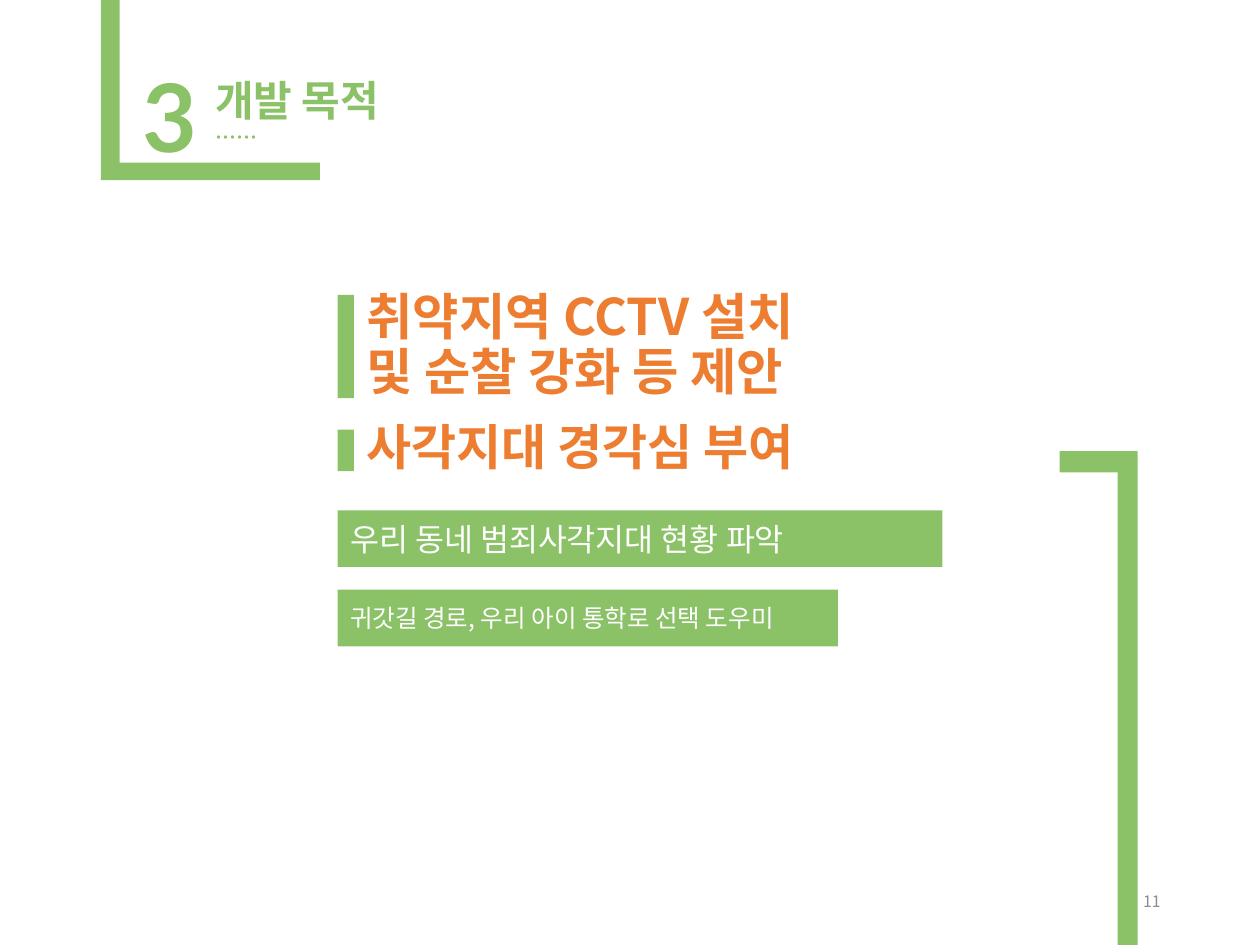
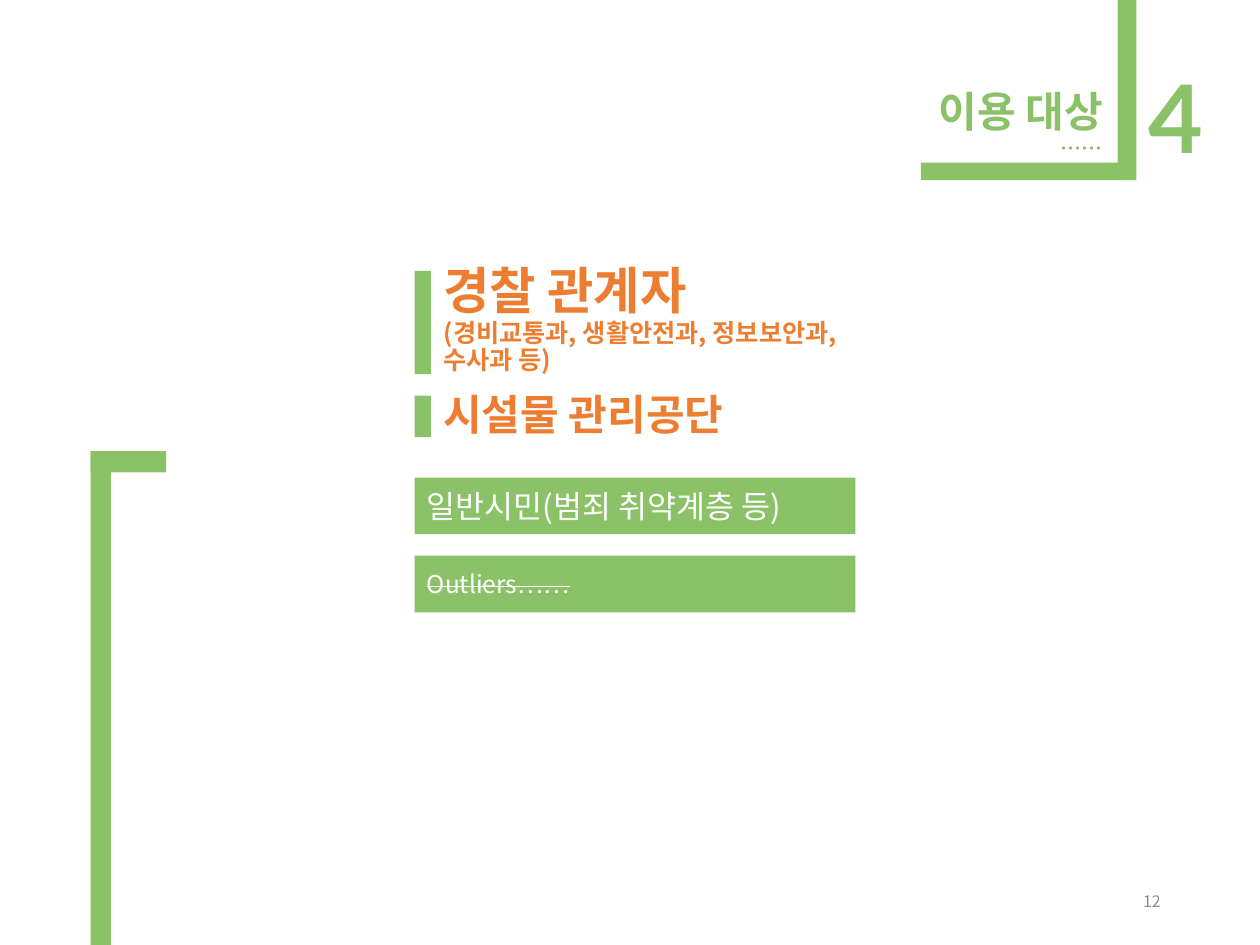
from copy import deepcopy

from lxml import etree
from pptx import Presentation
from pptx.dml.color import RGBColor
from pptx.enum import shapes, text
from pptx.oxml.ns import qn
from pptx.util import Inches, Pt

# Shared look
GREEN, ORANGE, WHITE, GREY = "8BC167", "ED7D31", "FFFFFF", "8C8C8C"
KOREAN, NUMERAL, LABEL = "Noto Sans CJK KR", "Lato", "Arial"
LEFT, CENTER, RIGHT = text.PP_ALIGN.LEFT, text.PP_ALIGN.CENTER, text.PP_ALIGN.RIGHT
TOP, MIDDLE = text.MSO_ANCHOR.TOP, text.MSO_ANCHOR.MIDDLE
MARKER_W, BANNER_H = 0.13, 0.45


def rgb(hex_string):
    return RGBColor.from_string(hex_string)


def add_run(p, words, size, color, name=KOREAN, bold=False, strike=False):
    """Add a run; each newline in words becomes a line break of the same size."""
    for i, line in enumerate(words.split("\n")):
        if i:
            p.add_line_break()
            p._p[-1].append(deepcopy(r.font._element))
        r = p.add_run()
        r.text = line
        for key, value in {"size": Pt(size), "bold": bold, "name": name}.items():
            setattr(r.font, key, value)
        r.font.color.rgb = rgb(color)
        rpr = r.font._element
        if strike:
            rpr.set("strike", "sngStrike")
        east_asian = etree.Element(qn("a:ea"), typeface=KOREAN)
        rpr.find(qn("a:latin")).addnext(east_asian)


def format_frame(tf, anchor=TOP, grow=False):
    fit = text.MSO_AUTO_SIZE
    settings = {
        "word_wrap": True,
        "vertical_anchor": anchor,
        "auto_size": fit.SHAPE_TO_FIT_TEXT if grow else fit.NONE,
    }
    for key, value in settings.items():
        setattr(tf, key, value)


def add_bar(s, x, y, w, h):
    sp = s.shapes.add_shape(shapes.MSO_SHAPE.RECTANGLE, *map(Inches, (x, y, w, h)))
    sp.shadow.inherit = False
    sp.fill.solid()
    sp.fill.fore_color.rgb = rgb(GREEN)
    sp.line.fill.background()
    return sp


def add_banner(s, x, y, w, words, size, strike=False):
    tf = add_bar(s, x, y, w, BANNER_H).text_frame
    format_frame(tf, MIDDLE)
    p = tf.paragraphs[0]
    p.alignment = LEFT
    add_run(p, words, size, WHITE, strike=strike)


def add_text(s, box, paragraphs, align=LEFT, anchor=TOP, grow=False, spacing=None):
    """Each paragraph is a dict of add_run arguments."""
    tf = s.shapes.add_textbox(*map(Inches, box)).text_frame
    format_frame(tf, anchor, grow)
    for i, fmt in enumerate(paragraphs):
        p = tf.add_paragraph() if i else tf.paragraphs[0]
        p.alignment = align
        p.line_spacing = spacing
        add_run(p, **fmt)


def set_title(s, x, y, runs):
    """Place the main heading; runs holds (words, size) pairs, one per line."""
    sp = s.shapes.title
    for key, value in zip(("left", "top", "width", "height"), (x, y, 5.12, 1.11)):
        setattr(sp, key, Inches(value))
    format_frame(sp.text_frame)
    p = sp.text_frame.paragraphs[0]
    p.alignment = LEFT
    p.line_spacing = 0.9
    for words, size in runs:
        add_run(p, words, size, ORANGE, bold=True)


def add_subheading(s, box, words, size):
    add_text(s, box, [dict(words=words, size=size, color=ORANGE, bold=True)], spacing=0.9)


def add_section(s, number, number_at, label, label_box, align):
    """Large section number with its label and dots."""
    add_text(s, (*number_at, 0.58, 1.01),
             [dict(words=number, size=54, color=GREEN, name=NUMERAL, bold=True)],
             align=CENTER, grow=True)
    add_text(s, label_box,
             [dict(words=label, size=24, color=GREEN, name=LABEL, bold=True),
              dict(words="……", size=12, color=GREEN, bold=True)],
             align=align, grow=True)


def add_frame(s, corner_x, corner_w, corner_line_x, side_x, hook_x):
    """L-shaped corner at the top and a hooked bar rising from the bottom."""
    add_bar(s, corner_line_x, 0, 0.15, 1.43)
    add_bar(s, corner_x, 1.29, corner_w, 0.14)
    add_bar(s, side_x, 3.58, 0.16, 3.92)
    add_bar(s, hook_x, 3.58, 0.6, 0.17)


def add_markers(s, x, tall_y, short_y):
    add_bar(s, x, tall_y, MARKER_W, 0.82)
    add_bar(s, x, short_y, MARKER_W, 0.33)


def add_page_number(s, number):
    add_text(s, (7.06, 6.95, 2.25, 0.4), [dict(words=number, size=9, color=GREY)],
             align=RIGHT, anchor=MIDDLE)


def new_slide(prs, page):
    s = prs.slides.add_slide(prs.slide_layouts[5])
    add_page_number(s, page)
    return s


def build_purpose(prs):
    s = new_slide(prs, "11")
    x = 2.68
    add_frame(s, corner_x=0.94, corner_w=1.6, corner_line_x=0.8, side_x=8.87, hook_x=8.41)
    add_section(s, "3", (1.03, 0.41), "개발 목적", (1.61, 0.54, 3.03, 0.71), LEFT)
    add_markers(s, x, 2.34, 3.41)
    set_title(s, x + MARKER_W, 2.27, [("취약지역 CCTV 설치\n및 순찰 강화 등 제안", 28.8)])
    add_subheading(s, (x + MARKER_W, 3.31, 5.12, 1.22), "사각지대 경각심 부여", 28)
    add_banner(s, x, 4.05, 4.8, "우리 동네 범죄사각지대 현황 파악", 18)
    add_banner(s, x, 4.68, 3.97, "귀갓길 경로, 우리 아이 통학로 선택 도우미", 14)


def build_audience(prs):
    s = new_slide(prs, "12")
    x = 3.29
    add_frame(s, corner_x=7.31, corner_w=1.7, corner_line_x=8.87, side_x=0.72, hook_x=0.72)
    add_section(s, "4", (9.02, 0.42), "이용 대상", (6.96, 0.63, 1.89, 0.71), RIGHT)
    add_markers(s, x, 2.15, 3.14)
    set_title(s, x + MARKER_W, 2.06, [
        ("경찰 관계자\n", 28.8),
        ("(경비교통과, 생활안전과, 정보보안과, \n수사과 등)", 14.4),
    ])
    add_subheading(s, (x + MARKER_W, 3.08, 5, 0.57), "시설물 관리공단", 24)
    add_banner(s, x, 3.79, 3.5, "일반시민(범죄 취약계층 등)", 18)
    add_banner(s, x, 4.41, 3.5, "Outliers……", 14, strike=True)


def main():
    prs = Presentation()
    prs.slide_width, prs.slide_height = Inches(10), Inches(7.5)
    build_purpose(prs)
    build_audience(prs)
    prs.save("out.pptx")


if __name__ == "__main__":
    main()
